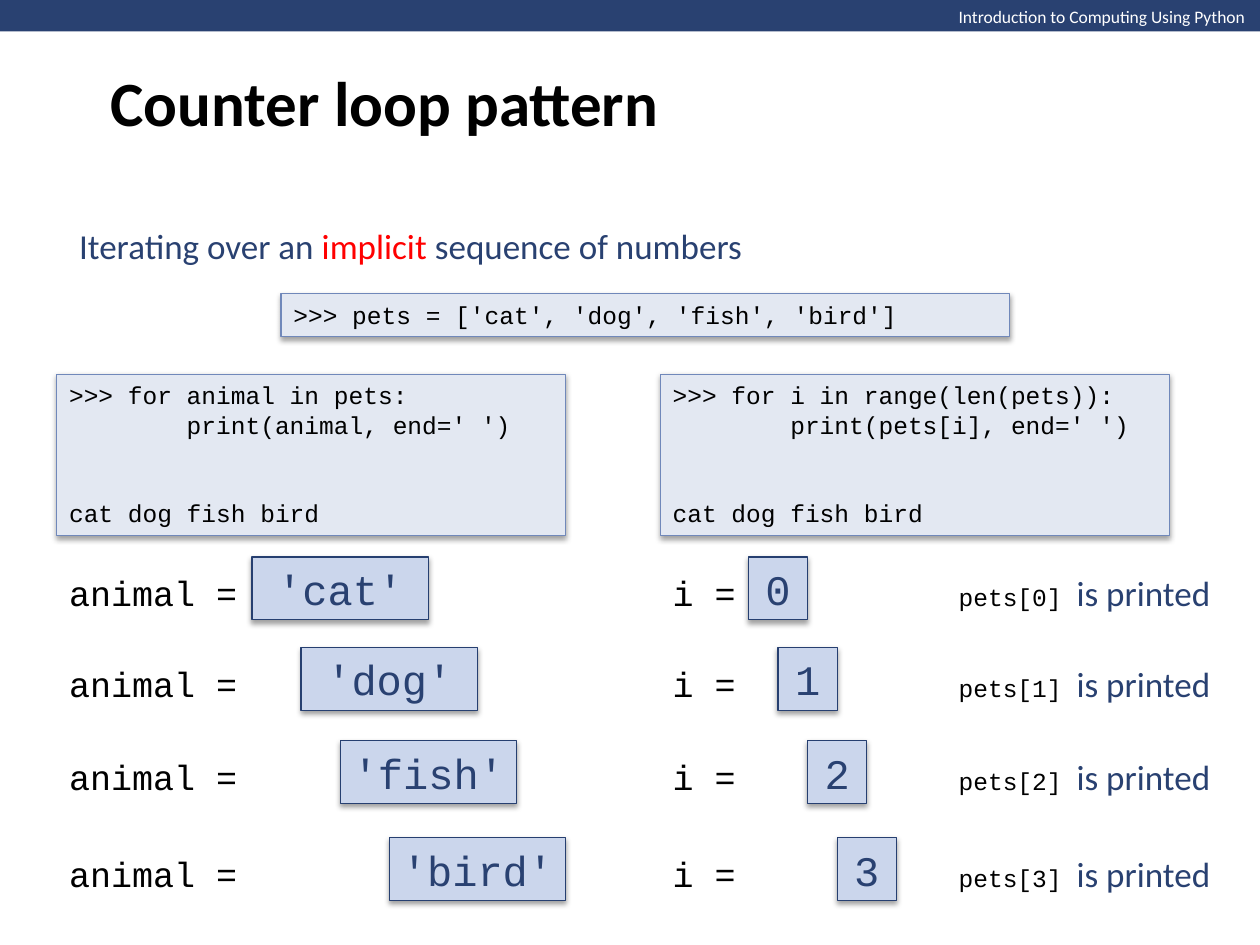
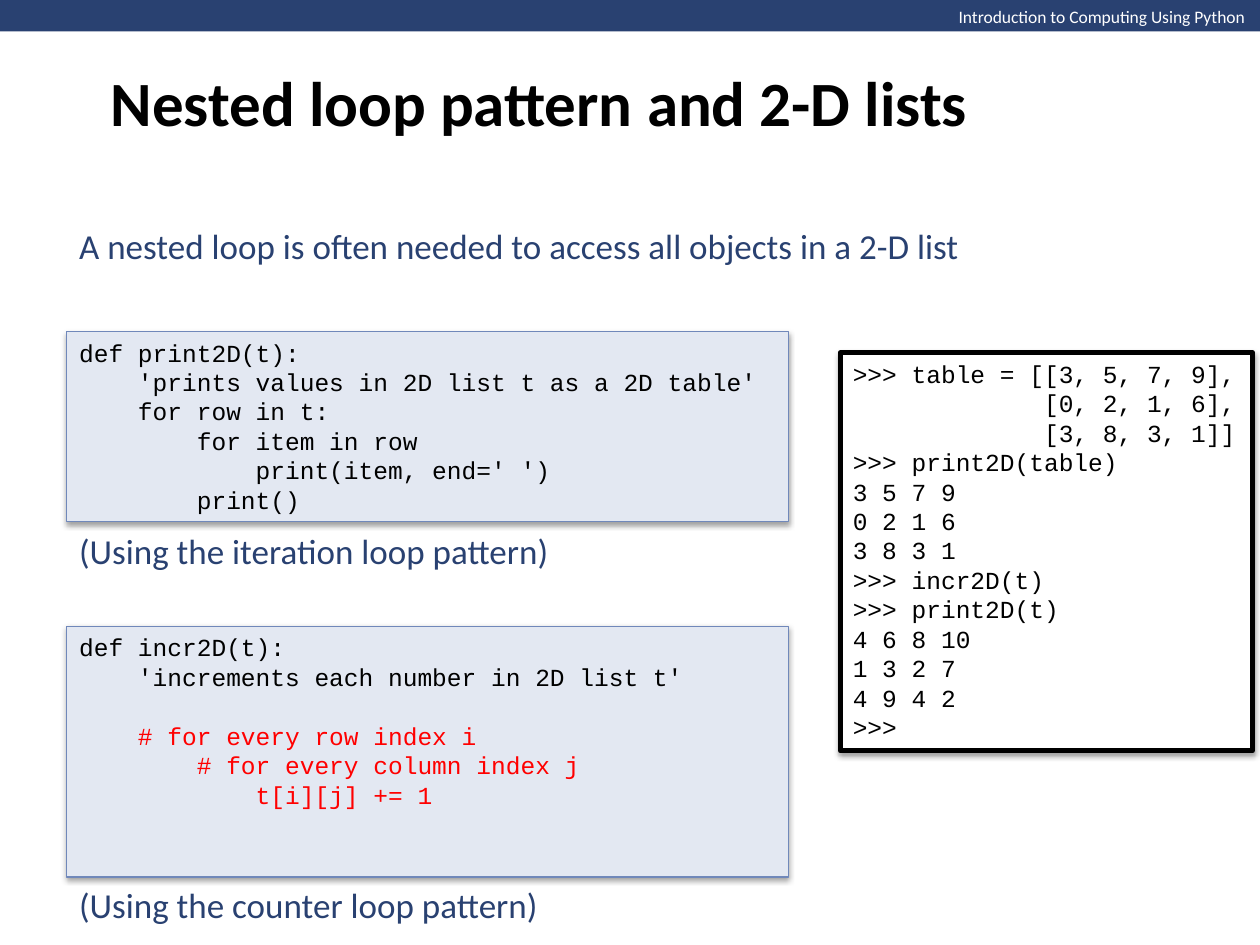
from lxml import etree
from pptx import Presentation
from pptx.dml.color import RGBColor
from pptx.enum.shapes import MSO_SHAPE
from pptx.enum.text import MSO_ANCHOR, PP_ALIGN
from pptx.oxml.ns import qn
from pptx.util import Inches, Pt

RECTANGLE = MSO_SHAPE.RECTANGLE
TOP, MIDDLE = MSO_ANCHOR.TOP, MSO_ANCHOR.MIDDLE
LEFT, CENTER = PP_ALIGN.LEFT, PP_ALIGN.CENTER
NAVY, BLACK, WHITE, RED = "294171", "000000", "FFFFFF", "FF0000"
PROSE, CODE = "Calibri", "Courier New"
CODE_LINE = 16.8  # points from one code line to the next

color = RGBColor.from_string


def add_box(slide, place, lines, font=PROSE, size=20, ink=NAVY, bold=False, anchor=MIDDLE,
            align=LEFT, wrap=True, fill=None, edge=None, edge_width=0.75, drop=None):
    """Add text, on a rectangle if fill is given; a tuple line holds runs. Return the paragraphs."""
    place = [Inches(length) for length in place]
    if fill:
        box = slide.shapes.add_shape(RECTANGLE, *place)
        box.shadow.inherit = False
        box.fill.solid()
        box.fill.fore_color.rgb = color(fill)
        if edge:
            box.line.color.rgb = color(edge)
            box.line.width = Pt(edge_width)
        else:
            box.line.fill.background()
    else:
        box = slide.shapes.add_textbox(*place)
    if drop:
        effects = box._element.spPr.find(qn("a:effectLst"))
        shadow = etree.SubElement(effects, qn("a:outerShdw"), blurRad=str(Pt(3.1)),
                                  dist=str(Pt(drop)), dir="5400000", rotWithShape="0")
        tint = etree.SubElement(shadow, qn("a:srgbClr"), val=BLACK)
        etree.SubElement(tint, qn("a:alpha"), val="37000")

    frame = box.text_frame
    frame.word_wrap = wrap
    frame.vertical_anchor = anchor
    for number, line in enumerate(lines):
        paragraph = frame.add_paragraph() if number else frame.paragraphs[0]
        for text in line if isinstance(line, tuple) else (line,):
            paragraph.add_run().text = text
        paragraph.alignment = align
        paragraph.font.name = font
        paragraph.font.size = Pt(size)
        paragraph.font.bold = bold
        paragraph.font.color.rgb = color(ink)
    return frame.paragraphs


def add_code(slide, place, code, fill="E3E8F2", edge="7088BA", edge_width=0.75):
    paragraphs = add_box(slide, place, code.split("\n"), CODE, 14, BLACK, anchor=TOP,
                         fill=fill, edge=edge, edge_width=edge_width, drop=1.6)
    for paragraph in paragraphs:
        paragraph.line_spacing = Pt(CODE_LINE)
    return paragraphs


deck = Presentation()
deck.slide_width, deck.slide_height = Inches(10), Inches(7.5)

slides = []
for title in ("Counter loop pattern", "Nested loop pattern and 2-D lists"):
    slide = deck.slides.add_slide(deck.slide_layouts[6])
    add_box(slide, (0, 0, 10.01, 0.25), (), fill=NAVY)
    add_box(slide, (7.51, 0, 2.5, 0.27), ["Introduction to Computing Using Python"],
            size=10, ink=WHITE, anchor=TOP, wrap=False)
    add_box(slide, (0.78, 0, 8.5, 1.61), [title], size=36, ink=BLACK, bold=True)
    slides.append(slide)
counter_slide, nested_slide = slides

# Counter loop: the same list walked by item and by index
intro = add_box(counter_slide, (0.53, 1.73, 8.93, 0.44),
                [("Iterating over an ", "implicit ", "sequence of numbers")])[0]
for run, ink in zip(intro.runs, (NAVY, RED, NAVY)):
    run.font.color.rgb = color(ink)

add_code(counter_slide, (2.23, 2.33, 5.78, 0.34), ">>> pets = ['cat', 'dog', 'fish', 'bird']")
loops = (
    (0.45, ">>> for animal in pets:\n        print(animal, end=' ')"),
    (5.24, ">>> for i in range(len(pets)):\n        print(pets[i], end=' ')"),
)
for left, loop in loops:
    session = add_code(counter_slide, (left, 2.97, 4.04, 1.28), loop + "\ncat dog fish bird")
    session[-1].space_before = Pt(2 * CODE_LINE)

steps = (("'cat'", 2, 4.42), ("'dog'", 2.39, 5.14), ("'fish'", 2.7, 5.88), ("'bird'", 3.09, 6.65))
for index, (pet, pet_left, top) in enumerate(steps):
    label_top = top + 0.065
    for left, width, label in ((0.45, 1.55, "animal ="), (5.24, 0.71, "i =")):
        add_box(counter_slide, (left, label_top, width, 0.44), [label], CODE, 20, BLACK, wrap=False)
    for left, width, value in ((pet_left, 1.4, pet), (5.94 + 0.235 * index, 0.47, str(index))):
        add_box(counter_slide, (left, top, width, 0.5), [value], CODE, 24, align=CENTER,
                fill="CBD6EC", edge="263F70", drop=1.8)
    result = add_box(counter_slide, (7.51, label_top, 2.22, 0.44),
                     [(f"pets[{index}] ", "is printed")], wrap=False)[0]
    for run, (font, size, ink) in zip(result.runs, ((CODE, 14, BLACK), (PROSE, 20, NAVY))):
        run.font.name = font
        run.font.size = Pt(size)
        run.font.color.rgb = color(ink)

# Nested loop: two functions and a session that calls them
for top, width, text in (
    (1.73, 8.96, "A nested loop is often needed to access all objects in a 2-D list"),
    (4.15, 4, "(Using the iteration loop pattern)"),
    (6.96, 4, "(Using the counter loop pattern)"),
):
    add_box(nested_slide, (0.53, top, width, 0.44), [text])

add_code(nested_slide, (0.53, 2.63, 5.73, 1.51), """def print2D(t):
    'prints values in 2D list t as a 2D table'
    for row in t:
        for item in row
            print(item, end=' ')
        print()""")

increment = add_code(nested_slide, (0.53, 4.97, 5.73, 1.99), """def incr2D(t):
    'increments each number in 2D list t'
    # for every row index i
        # for every column index j
            t[i][j] += 1""")
increment[2].space_before = Pt(CODE_LINE)
for line in increment[2:]:
    line.font.color.rgb = color(RED)

add_code(nested_slide, (6.67, 2.8, 3.27, 3.16), """>>> table = [[3, 5, 7, 9],
             [0, 2, 1, 6],
             [3, 8, 3, 1]]
>>> print2D(table)
3 5 7 9
0 2 1 6
3 8 3 1
>>> incr2D(t)
>>> print2D(t)
4 6 8 10
1 3 2 7
4 9 4 2
>>>""", WHITE, BLACK, 3)

deck.save("out.pptx")
